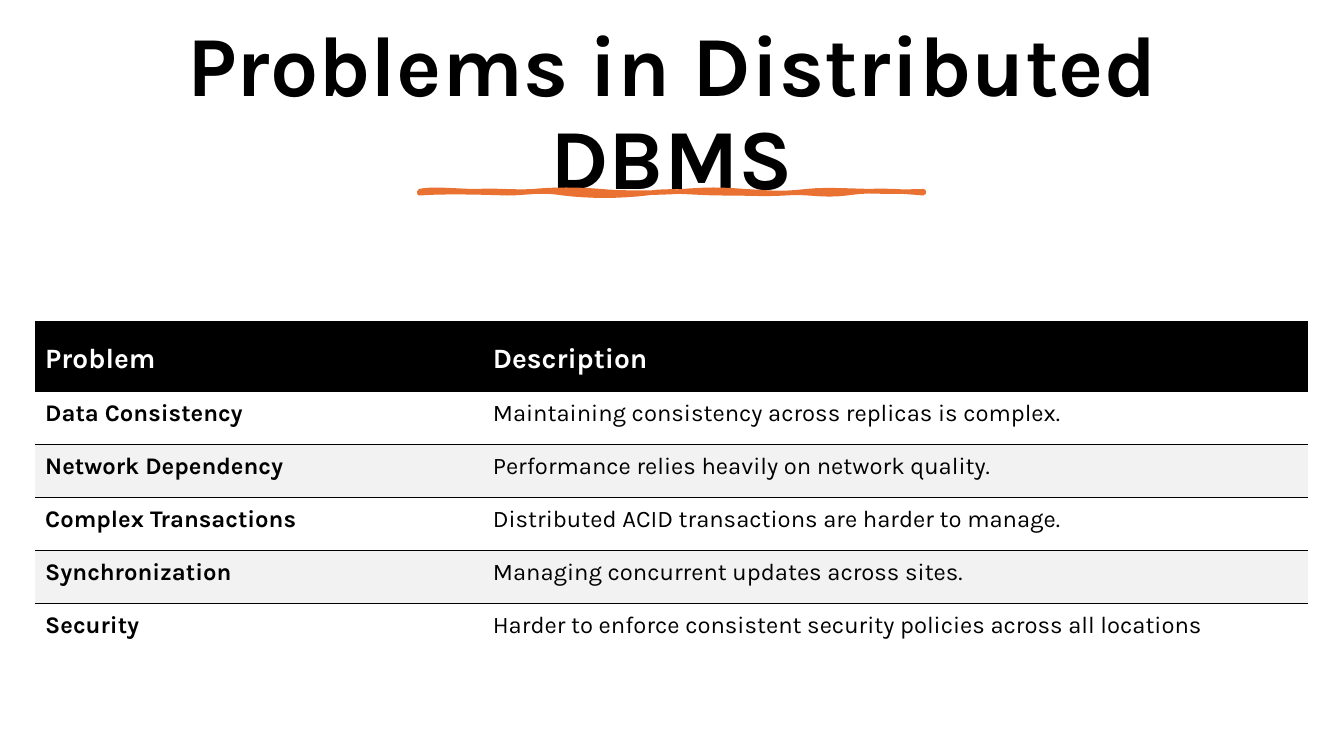
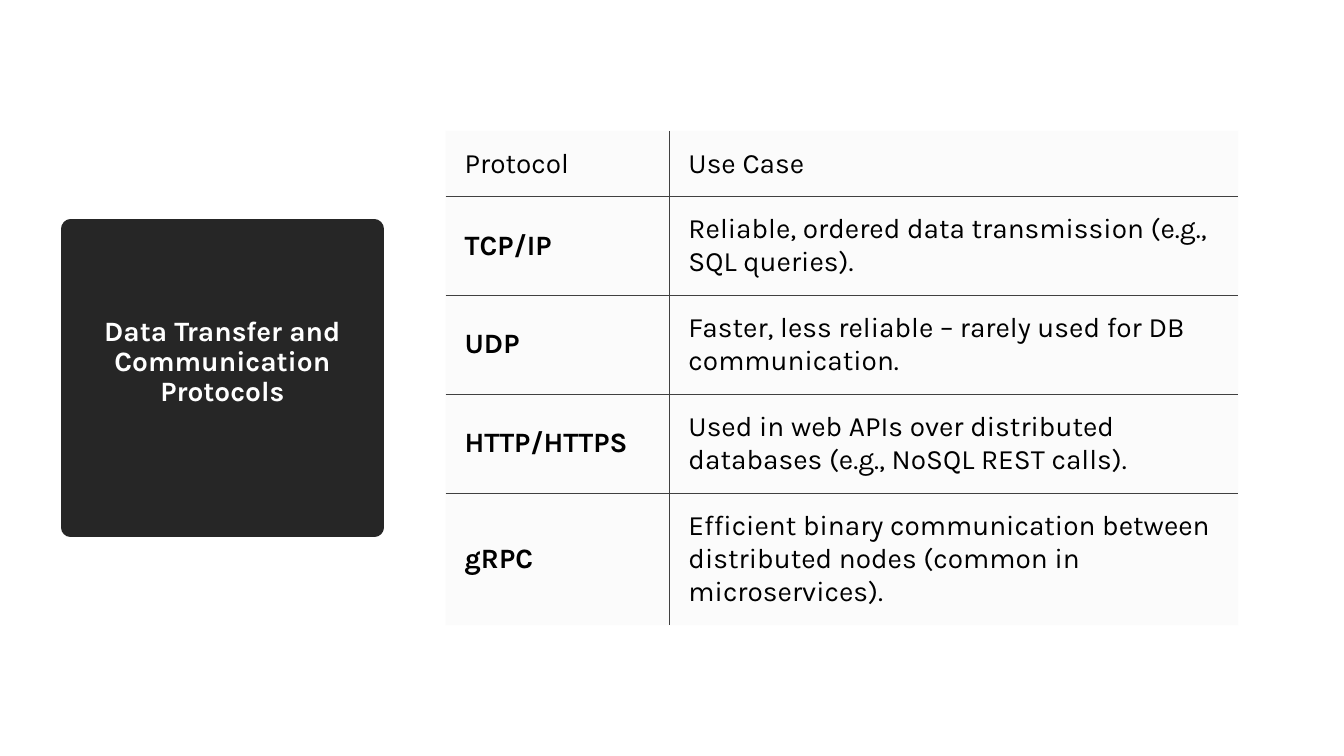
from lxml.etree import SubElement
from pptx import Presentation
from pptx.dml.color import RGBColor
from pptx.enum.text import MSO_ANCHOR, MSO_AUTO_SIZE, PP_ALIGN
from pptx.oxml.ns import qn
from pptx.util import Cm, Pt

FONT = "Karla"
COLORS = {
    "ink": "000000",
    "paper": "FFFFFF",
    "accent": "E97132",
    "panel": "262626",
    "band": "F2F2F2",
    "rule": "404040",
}
PLAIN_TABLE_STYLE = "{2D5ABB26-0587-4C30-8999-92F81FD0307C}"

PROBLEMS_TITLE = "Problems in Distributed DBMS"
PROBLEMS = [
    ("Problem", "Description"),
    ("Data Consistency", "Maintaining consistency across replicas is complex."),
    ("Network Dependency", "Performance relies heavily on network quality."),
    ("Complex Transactions", "Distributed ACID transactions are harder to manage."),
    ("Synchronization", "Managing concurrent updates across sites."),
    ("Security", "Harder to enforce consistent security policies across all locations"),
]

PROTOCOLS_TITLE = "Data Transfer and Communication Protocols"
PROTOCOLS = [
    ("Protocol", "Use Case"),
    ("TCP/IP", "Reliable, ordered data transmission (e.g., SQL queries)."),
    ("UDP", "Faster, less reliable – rarely used for DB communication."),
    ("HTTP/HTTPS", "Used in web APIs over distributed databases (e.g., NoSQL REST calls)."),
    ("gRPC", "Efficient binary communication between distributed nodes (common in microservices)."),
]

STROKE_ORIGIN = (10.57, 4.82)
STROKE_CURVES = [
    ((0.3, -0.08), (0.97, 0), (1.45, 0)),
    ((1.93, -0.03), (2.36, 0.03), (2.87, 0)),
    ((3.38, -0.05), (4.01, -0.05), (4.57, 0)),
    ((5.11, 0.05), (6.02, 0.05), (6.63, 0)),
    ((7.26, -0.05), (7.57, -0.05), (8.2, 0)),
    ((8.81, 0.03), (9.09, 0.08), (9.75, 0)),
    ((10.41, -0.08), (11.46, 0.05), (12.7, 0)),
    ((12.73, 0.03), (12.7, 0.03), (12.7, 0.05)),
    ((12.17, 0), (11.4, -0.05), (10.77, 0.05)),
    ((10.13, 0.13), (9.78, 0), (9.22, 0.05)),
    ((8.64, 0.08), (8.41, 0.05), (7.65, 0.05)),
    ((6.88, 0.05), (6.38, -0.05), (5.72, 0.05)),
    ((5.03, 0.13), (4.29, 0.13), (3.63, 0.05)),
    ((3, -0.05), (2.72, 0.05), (2.21, 0.05)),
    ((1.7, 0.03), (0.56, 0), (0, 0.05)),
]
CURVE_STEPS = 8


def rgb(name):
    return RGBColor.from_string(COLORS[name])


def paint(shape, color, line_width):
    shape.fill.solid()
    shape.fill.fore_color.rgb = rgb(color)
    shape.line.color.rgb = rgb(color)
    shape.line.width = Pt(line_width)


def style_text(para, size, color, bold):
    for span in para.runs:
        span.font.name = FONT
        span.font.size = Pt(size)
        span.font.bold = bold
        span.font.color.rgb = rgb(color)


def add_page(deck, title, frame, size, color):
    page = deck.slides.add_slide(deck.slide_layouts[5])
    box = page.shapes.title
    box.left, box.top, box.width, box.height = (Cm(length) for length in frame)
    text_frame = box.text_frame
    text_frame.text = title
    text_frame.word_wrap = True
    text_frame.auto_size = MSO_AUTO_SIZE.NONE
    text_frame.vertical_anchor = MSO_ANCHOR.MIDDLE
    para = text_frame.paragraphs[0]
    para.alignment = PP_ALIGN.CENTER
    para.line_spacing = 0.9
    style_text(para, size, color, True)
    return page


def curve_points():
    start = (0, 0)
    for first, second, end in STROKE_CURVES:
        for step in range(1, CURVE_STEPS + 1):
            t = step / CURVE_STEPS
            weights = ((1 - t) ** 3, 3 * t * (1 - t) ** 2, 3 * t**2 * (1 - t), t**3)
            knots = (start, first, second, end)
            yield tuple(
                Cm(origin + sum(w * knot[axis] for w, knot in zip(weights, knots)))
                for axis, origin in enumerate(STROKE_ORIGIN)
            )
        start = end


def add_brush_stroke(page):
    left, top = (Cm(length) for length in STROKE_ORIGIN)
    builder = page.shapes.build_freeform(left, top)
    builder.add_line_segments(list(curve_points()), close=True)
    stroke = builder.convert_to_shape()
    stroke.shadow.inherit = False
    paint(stroke, "accent", 3.25)


def add_plain_table(page, rows, left, top, widths, heights):
    frame = page.shapes.add_table(
        len(rows), len(widths), Cm(left), Cm(top), Cm(sum(widths)), Cm(sum(heights))
    )
    table = frame.table
    table.first_row = table.horz_banding = False
    table._tbl.tblPr.find(qn("a:tableStyleId")).text = PLAIN_TABLE_STYLE
    for column, width in zip(table.columns, widths):
        column.width = Cm(width)
    for row, height in zip(table.rows, heights):
        row.height = Cm(height)
    return table


def fill_cell(cell, text, margins, size, color, bold):
    cell.text_frame.text = text
    cell.vertical_anchor = MSO_ANCHOR.MIDDLE
    cell.margin_left, cell.margin_top, cell.margin_right, cell.margin_bottom = (
        Cm(margin) for margin in margins
    )
    para = cell.text_frame.paragraphs[0]
    style_text(para, size, color, bold)
    return para


def set_borders(cell, sides, color, width):
    properties = cell._tc.get_or_add_tcPr()
    for side in "LRTB":
        if side in sides:
            line = SubElement(properties, qn(f"a:ln{side}"), w=str(Pt(width)))
            fill = SubElement(line, qn("a:solidFill"))
            SubElement(fill, qn("a:srgbClr"), val=COLORS[color])


def set_cell_fill(cell, color, opacity=100):
    if color is None:
        cell.fill.background()
        return
    cell.fill.solid()
    cell.fill.fore_color.rgb = rgb(color)
    if opacity < 100:
        value = cell._tc.tcPr.find(qn("a:solidFill")).find(qn("a:srgbClr"))
        SubElement(value, qn("a:alpha"), val=str(opacity * 1000))


def build_problems(deck):
    page = add_page(deck, PROBLEMS_TITLE, (1.78, 1.17, 30.3, 3.47), 61, "ink")
    add_brush_stroke(page)
    heights = [1.78] + [1.33] * (len(PROBLEMS) - 1)
    table = add_plain_table(page, PROBLEMS, 0.89, 8.1, (11.28, 20.8), heights)
    last = len(PROBLEMS) - 1
    for r, row in enumerate(PROBLEMS):
        header = r == 0
        banded = not header and r % 2 == 0
        margins = (0.25, 0.36 if header else 0.03, 0.18, 0.36)
        for c, text in enumerate(row):
            cell = table.cell(r, c)
            para = fill_cell(
                cell, text, margins, 20 if header else 17,
                "paper" if header else "ink", header or c == 0,
            )
            para.line_spacing = 1.15
            para.space_after = Pt(8)
            if banded:
                set_borders(cell, "T", "ink", 1)
            elif not header and r < last:
                set_borders(cell, "B", "ink", 1)
            set_cell_fill(cell, "ink" if header else "band" if banded else None)


def build_protocols(deck):
    page = add_page(deck, PROTOCOLS_TITLE, (1.78, 5.77, 7.65, 7.52), 20, "paper")
    panel = page.shapes.title
    paint(panel, "panel", 13.75)
    panel.text_frame.margin_bottom = Cm(0.91)
    heights = (1.65, 2.49, 2.49, 2.49, 3.33)
    table = add_plain_table(page, PROTOCOLS, 11.23, 3.3, (5.64, 14.33), heights)
    last = len(PROTOCOLS) - 1
    for r, row in enumerate(PROTOCOLS):
        for c, text in enumerate(row):
            cell = table.cell(r, c)
            margins = (0.48, 0.36, 0.36, 0.36)
            fill_cell(cell, text, margins, 20, "ink", r > 0 and c == 0)
            sides = ("R" if c == 0 else "L") + ("T" if r > 0 else "") + ("B" if r < last else "")
            set_borders(cell, sides, "rule", 0.5)
            set_cell_fill(cell, "band", 30)


def main():
    deck = Presentation()
    deck.slide_width, deck.slide_height = Cm(33.87), Cm(19.05)
    build_problems(deck)
    build_protocols(deck)
    deck.save("out.pptx")


if __name__ == "__main__":
    main()
